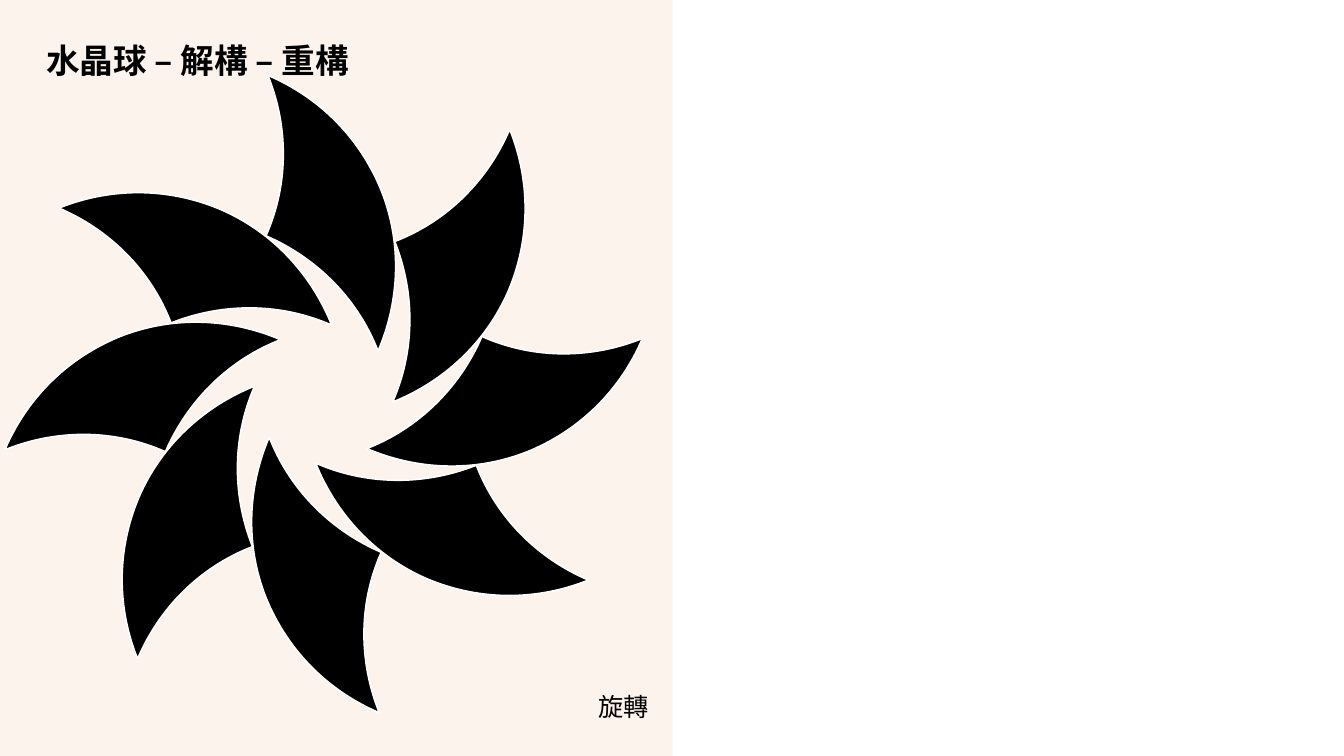
from math import cos, radians, sin

from lxml import etree
from pptx import Presentation
from pptx.dml.color import RGBColor
from pptx.enum.shapes import MSO_CONNECTOR, MSO_SHAPE
from pptx.enum.text import MSO_ANCHOR, MSO_AUTO_SIZE, PP_ALIGN
from pptx.oxml.ns import qn
from pptx.util import Inches, Pt

RECT, LINE = MSO_SHAPE.RECTANGLE, MSO_CONNECTOR.STRAIGHT
MIDDLE, TOP = MSO_ANCHOR.MIDDLE, MSO_ANCHOR.TOP
LEFT, RIGHT = PP_ALIGN.LEFT, PP_ALIGN.RIGHT
FIXED = MSO_AUTO_SIZE.NONE
COLORS = {"panel": "F4B183", "rule": "FBE5D6", "ink": "000000", "edge": "FFFFFF"}
COUNT = 8
TILT = 68.2
BLADE = [
    (3.16, -0.55),
    (2.95, -0.06), (2.56, 0.35), (2.02, 0.57),
    (1.49, 0.78), (0.92, 0.75), (0.43, 0.54),
    (0.92, 0.35), (1.34, -0.04), (1.57, -0.57),
    (2.09, -0.34), (2.66, -0.35), (3.16, -0.55),
]


def paint(form, name, alpha=None):
    """Give a fill or line one solid colour, with optional opacity in percent."""
    form.solid()
    form.fore_color.rgb = RGBColor.from_string(COLORS[name])
    if alpha is not None:
        for color in form._xPr.iter(qn("a:srgbClr")):
            etree.SubElement(color, qn("a:alpha"), val=str(alpha * 1000))


def turn(point, angle):
    """Turn a point about the origin by an angle in degrees."""
    x, y = point
    c, s = cos(radians(angle)), sin(radians(angle))
    return x * c - y * s, x * s + y * c


def write(shape, text, box, frame, para, font):
    """Place one formatted paragraph in a box."""
    shape.left, shape.top, shape.width, shape.height = map(Inches, box)
    body = shape.text_frame
    body.text = text
    line = body.paragraphs[0]
    run = line.runs[0].font
    for target, values in ((body, frame), (line, para), (run, font)):
        for key, value in values.items():
            setattr(target, key, value)
    run.color.rgb = RGBColor.from_string(COLORS["ink"])


def draw_panel(slide, box):
    """Tint the left half and rule its right edge, behind all else."""
    x, y, w, h = map(Inches, box)
    panel = slide.shapes.add_shape(RECT, x, y, w, h)
    panel.shadow.inherit = False
    paint(panel.fill, "panel", 14)
    panel.line.fill.background()
    rule = slide.shapes.add_connector(LINE, x + w, y + h, x + w, y)
    rule.line.width = Pt(0.25)
    paint(rule.line.fill, "rule", 50)
    etree.SubElement(rule._element.spPr, qn("a:effectLst"))
    for shape in (rule, panel):
        slide.shapes._spTree.insert(2, shape._element)


def curve(shape):
    """Turn each three line segments of an outline into one Bezier curve."""
    lines = list(shape._element.iter(qn("a:lnTo")))
    for first, *rest in zip(lines[::3], lines[1::3], lines[2::3]):
        first.tag = qn("a:cubicBezTo")
        for line in rest:
            first.append(line[0])
            line.getparent().remove(line)


def draw_blade(slide, hub, angle):
    """Add one blade of the wheel, tilted about its own centre."""
    spots = [tuple(map(Inches, turn(p, angle - TILT))) for p in BLADE]
    form = slide.shapes.build_freeform(*spots[0])
    form.add_line_segments(spots[1:], close=True)
    blade = form.convert_to_shape()
    curve(blade)
    mid = blade.left + blade.width / 2, blade.top + blade.height / 2
    x, y = turn(mid, TILT)
    blade.left = int(hub[0] + x - blade.width / 2)
    blade.top = int(hub[1] + y - blade.height / 2)
    blade.rotation = TILT
    blade.shadow.inherit = False
    paint(blade.fill, "ink")
    paint(blade.line.fill, "edge")
    blade.line.width = Pt(1)


def draw_wheel(slide, box):
    """Set the blades at equal angles round the middle of a box."""
    x, y, w, h = map(Inches, box)
    for k in range(COUNT):
        draw_blade(slide, (x + w / 2, y + h / 2), k * 360 / COUNT)


def main():
    """Build and save the slide."""
    deck = Presentation()
    deck.slide_width, deck.slide_height = Inches(13.33), Inches(7.5)
    slide = deck.slides.add_slide(deck.slide_layouts[5])
    draw_panel(slide, (0, 0, 6.67, 7.5))
    write(slide.shapes.title, "水晶球 – 解構 – 重構", (0.36, 0.4, 5.95, 0.44),
          {"word_wrap": False, "auto_size": FIXED, "vertical_anchor": MIDDLE},
          {"alignment": LEFT, "line_spacing": 0.9},
          {"name": "Noto Sans CJK SC", "size": Pt(24), "bold": True})
    note = slide.shapes.add_textbox(0, 0, 0, 0)
    write(note, "旋轉", (3.15, 6.81, 3.38, 0.4),
          {"word_wrap": True, "vertical_anchor": TOP},
          {"alignment": RIGHT},
          {"name": "Times New Roman", "size": Pt(18)})
    draw_wheel(slide, (0.05, 0.75, 6.32, 6.32))
    deck.save("out.pptx")


if __name__ == "__main__":
    main()
